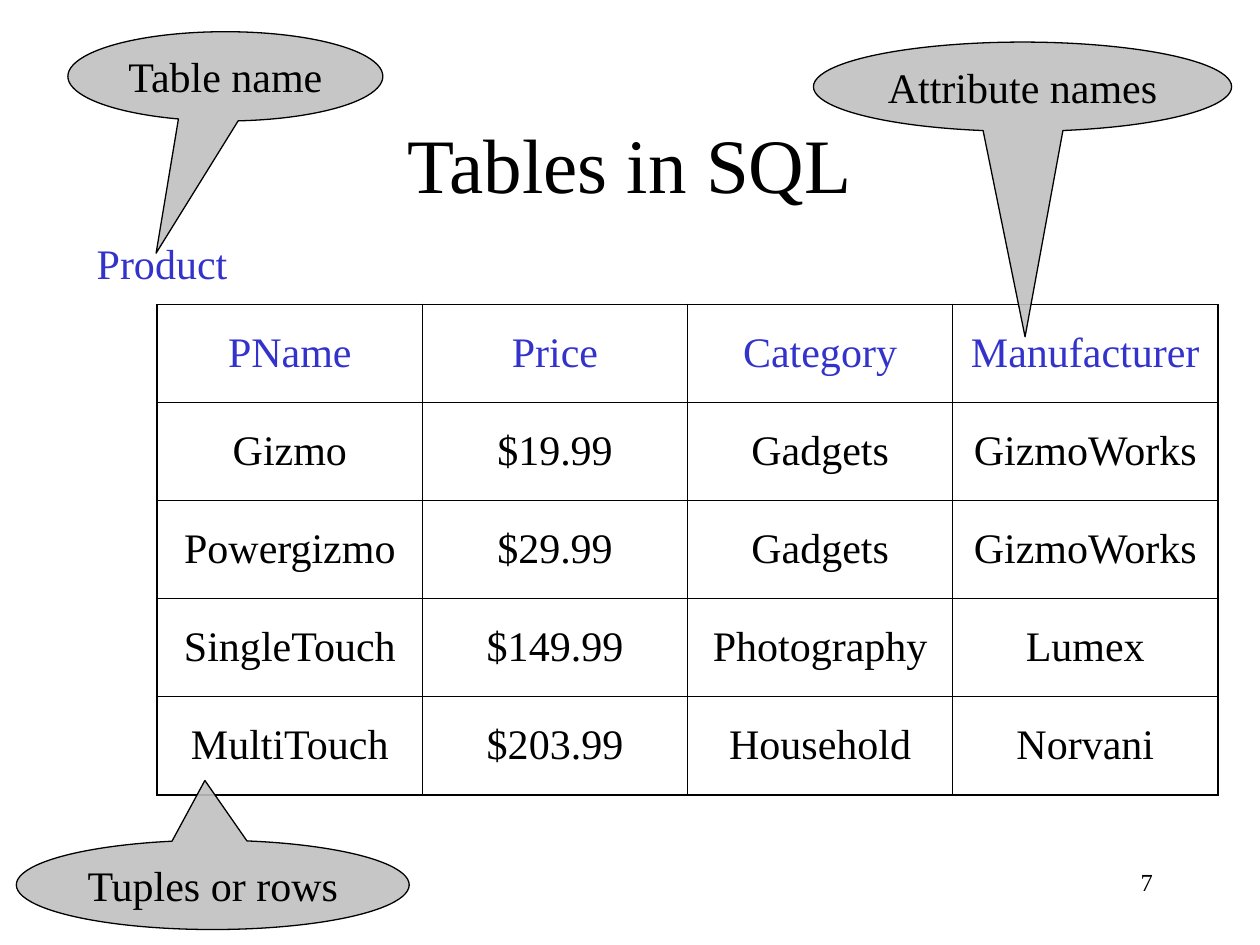
from lxml import etree
from pptx import Presentation
from pptx import util as u
from pptx.dml.color import RGBColor
from pptx.enum import shapes, text
from pptx.oxml.ns import qn

FONT = "Times New Roman"
BLACK, BLUE, GREY = "000000", "3333CC", "C0C0C0"
CENTER, LEFT, RIGHT = text.PP_ALIGN.CENTER, text.PP_ALIGN.LEFT, text.PP_ALIGN.RIGHT
TOP, MIDDLE = text.MSO_ANCHOR.TOP, text.MSO_ANCHOR.MIDDLE

ROWS = [
    ["PName", "Price", "Category", "Manufacturer"],
    ["Gizmo", "$19.99", "Gadgets", "GizmoWorks"],
    ["Powergizmo", "$29.99", "Gadgets", "GizmoWorks"],
    ["SingleTouch", "$149.99", "Photography", "Lumex"],
    ["MultiTouch", "$203.99", "Household", "Norvani"],
]


def rgb(value):
    return RGBColor.from_string(value)


def cm(box):
    return [u.Cm(v) for v in box]


def write(tf, words, size, color=BLACK, align=CENTER):
    p = tf.paragraphs[0]
    p.alignment = align
    r = p.add_run()
    r.text = words
    r.font.name = FONT
    r.font.size = u.Pt(size)
    r.font.color.rgb = rgb(color)


def add_label(s, box, words, size, color=BLACK, align=LEFT, anchor=TOP):
    tf = s.shapes.add_textbox(*cm(box)).text_frame
    tf.word_wrap = True
    tf.vertical_anchor = anchor
    write(tf, words, size, color, align)


def add_callout(s, box, words, tip):
    sp = s.shapes.add_shape(shapes.MSO_SHAPE.OVAL_CALLOUT, *cm(box))
    sp.adjustments[0], sp.adjustments[1] = tip
    sp.shadow.inherit = False
    sp.fill.solid()
    sp.fill.fore_color.rgb = rgb(GREY)
    color = sp.fill._xPr.find(qn("a:solidFill"))[0]
    etree.SubElement(color, qn("a:alpha"), val="90000")
    sp.line.color.rgb = rgb(BLACK)
    sp.line.width = u.Pt(0.75)
    tf = sp.text_frame
    tf.word_wrap = False
    tf.vertical_anchor = TOP
    write(tf, words, 24)


def set_border(cell, side, width):
    ln = etree.SubElement(cell._tc.get_or_add_tcPr(), qn(f"a:ln{side}"), w=str(u.Pt(width)))
    fill = etree.SubElement(ln, qn("a:solidFill"))
    etree.SubElement(fill, qn("a:srgbClr"), val=BLACK)


def add_product_table(s, box):
    left, top, width, height = cm(box)
    n_rows, n_cols = len(ROWS), len(ROWS[0])
    table = s.shapes.add_table(n_rows, n_cols, left, top, width, height).table
    table.first_row = table.horz_banding = False
    for col in table.columns:
        col.width = width // n_cols
    for row in table.rows:
        row.height = height // n_rows
    for i, values in enumerate(ROWS):
        for j, value in enumerate(values):
            cell = table.cell(i, j)
            cell.vertical_anchor = MIDDLE
            thick = {
                "L": j == 0,
                "R": j == n_cols - 1,
                "T": i <= 1,
                "B": i in (0, n_rows - 1),
            }
            for side, is_thick in thick.items():
                set_border(cell, side, 1.08 if is_thick else 0.45)
            cell.fill.background()
            write(cell.text_frame, value, 24, BLUE if i == 0 else BLACK)


def main():
    prs = Presentation()
    prs.slide_width, prs.slide_height = u.Cm(25.4), u.Cm(19.05)
    s = prs.slides.add_slide(prs.slide_layouts[6])
    add_label(s, (1.9, 1.7, 21.6, 3.18), "Tables in SQL", 44, align=CENTER, anchor=MIDDLE)
    add_product_table(s, (3.17, 6.14, 21.38, 9.88))
    add_label(s, (1.7, 4.66, 3.4, 1.27), "Product", 24, BLUE)
    add_callout(s, (16.4, 0.85, 8.43, 1.8), "Attribute names", (0.006, 2.8))
    add_callout(s, (1.37, 0.64, 6.35, 1.8), "Table name", (-0.22, 1.98))
    add_callout(s, (0.33, 16.94, 7.92, 1.8), "Tuples or rows", (-0.02, -1.17))
    add_label(s, (18.2, 17.36, 5.29, 1.27), "7", 14, align=RIGHT)
    prs.save("out.pptx")


if __name__ == "__main__":
    main()
